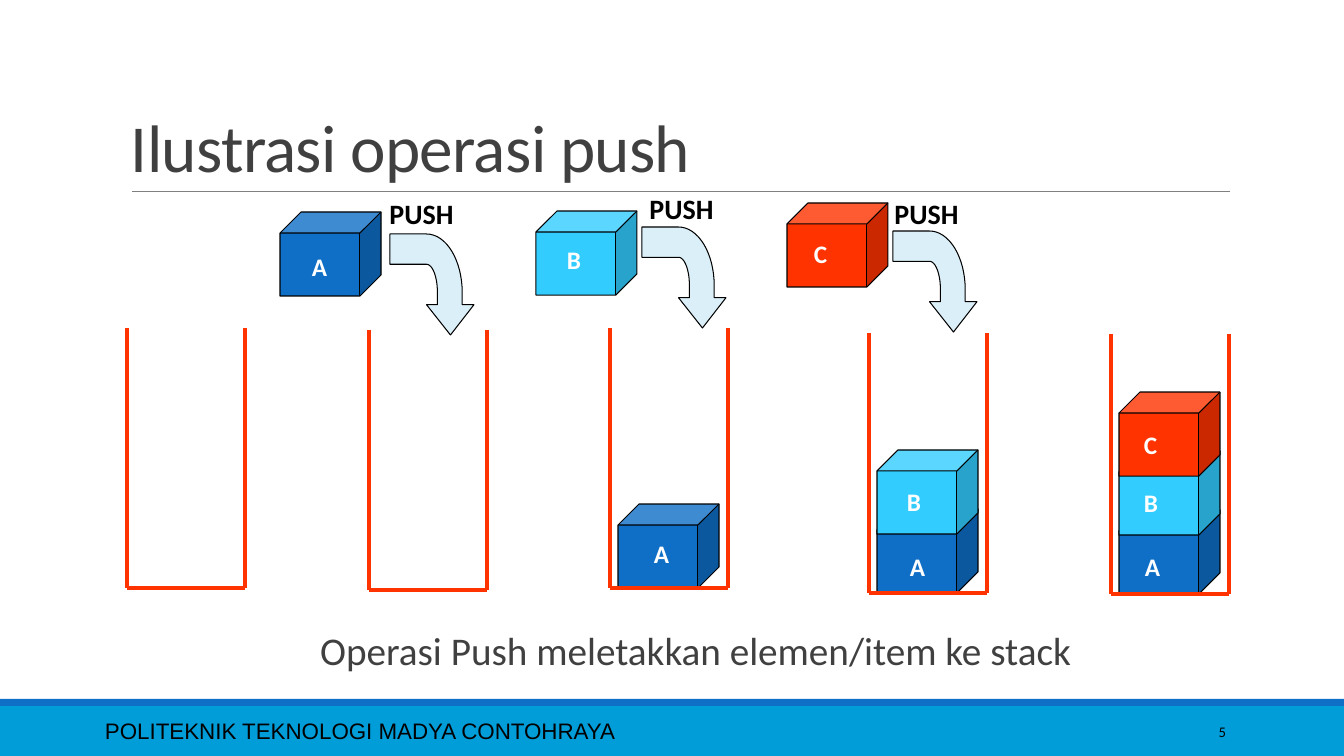
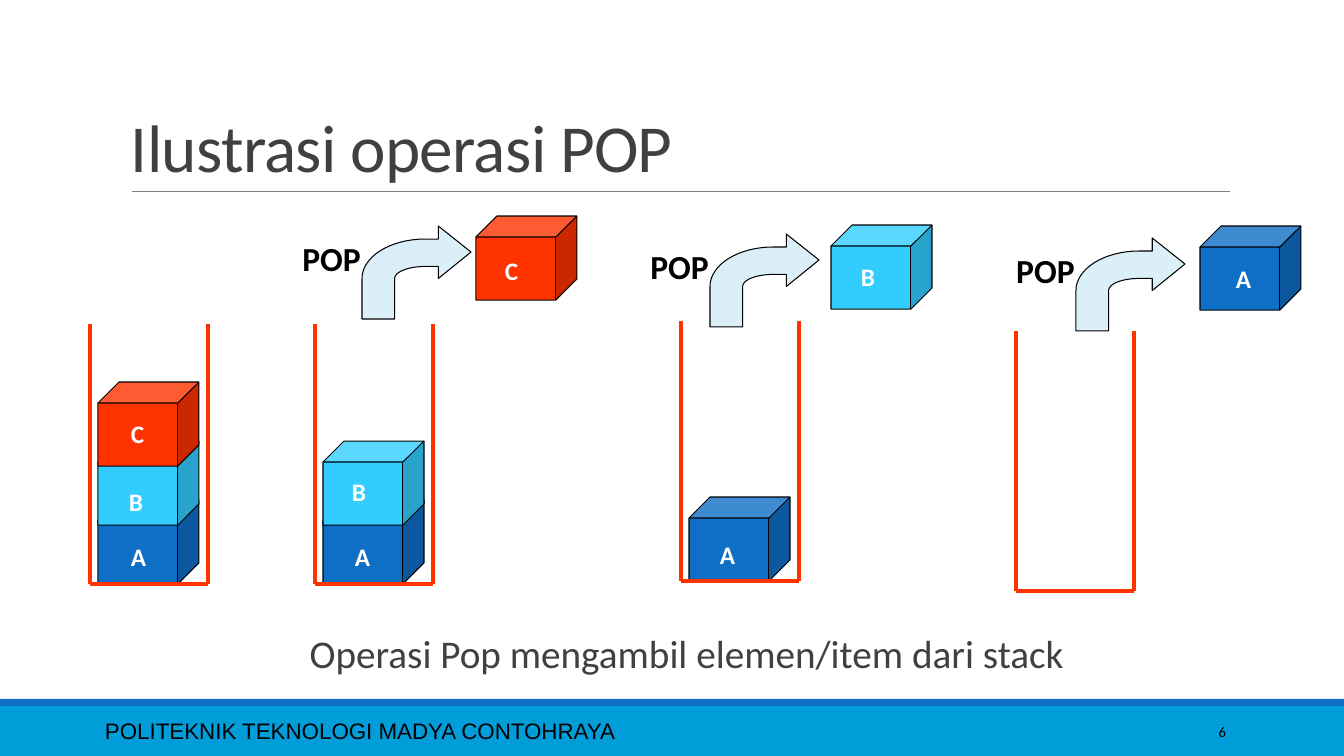
from itertools import pairwise
from math import cos, pi, sin

from lxml.etree import SubElement
from pptx import Presentation
from pptx.dml.color import RGBColor
from pptx.enum.shapes import MSO_CONNECTOR, MSO_SHAPE
from pptx.enum.text import MSO_ANCHOR, PP_ALIGN
from pptx.oxml.ns import qn
from pptx.util import Pt

EMU_PER_PX = 914400 / 100.8
BLACK, WHITE, GREY, DARK = "000000", "FFFFFF", "808080", "404040"
BLUE, BAND, RED, PALE = "0F6FC6", "009DD9", "FF3300", "DBEFF9"
ITEM_COLORS = {"A": BLUE, "B": "33CCFF", "C": RED}
CUBE_W, CUBE_H, STACK_STEP = 101, 84, 59
BIN_W, BIN_H, BIN_INSET = 118, 260, 8


def px(length):
    """Turn pixels into EMU."""
    return round(length * EMU_PER_PX)


def color(code):
    """Turn a hex string into a colour."""
    return RGBColor.from_string(code)


def bent_arrow_outline():
    """Return the outline of a right-turning arrow in a unit square."""
    def bend(rx, ry, angles):
        return [(0.58 - rx * cos(a), 0.565 - ry * sin(a)) for a in angles]

    rising = [pi / 2 * step / 16 for step in range(17)]
    return [(1, 0.28), (0.7, 0), (0.7, 0.14), *bend(0.58, 0.425, rising[::-1]),
            (0, 1), (0.3, 1), *bend(0.28, 0.13, rising),
            (0.7, 0.435), (0.7, 0.565)]


class Deck:
    """Hold the shared style and the slide being drawn."""

    def __init__(self):
        """Start an empty wide presentation."""
        self.prs = Presentation()
        self.prs.slide_width, self.prs.slide_height = px(1344), px(756)
        self.shapes = None

    def add_slide(self, title, caption, caption_box, number):
        """Add a slide with its title, caption and footer."""
        layout = self.prs.slide_layouts[6]
        self.shapes = self.prs.slides.add_slide(layout).shapes
        self.band(706, 50, BAND)
        self.band(699, 7, BLUE)
        self.line((132, 191), (1230, 191), GREY, 0.5)
        self.text("POLITEKNIK TEKNOLOGI MADYA CONTOHRAYA", (95, 711, 848, 40),
                  16, font="Arial", anchor=MSO_ANCHOR.MIDDLE)
        self.text(title, (121, 31, 1109, 160), 48, DARK,
                  anchor=MSO_ANCHOR.BOTTOM, leading=0.85, tracking=-50)
        self.text(caption, caption_box, 28, DARK, align=PP_ALIGN.CENTER,
                  leading=0.9, margins=(10, 0))
        self.text(number, (1092, 712, 144, 40), 10.5, align=PP_ALIGN.RIGHT,
                  anchor=MSO_ANCHOR.MIDDLE)

    def paint(self, shape, fill, outline=None):
        """Give a shape its fill and outline."""
        shape.shadow.inherit = False
        shape.fill.solid()
        shape.fill.fore_color.rgb = color(fill)
        if outline:
            shape.line.color.rgb = color(outline)
            shape.line.width = Pt(0.75)
        else:
            shape.line.fill.background()

    def band(self, top, height, fill):
        """Draw a footer band across the slide."""
        band = self.shapes.add_shape(MSO_SHAPE.RECTANGLE, 0, px(top),
                                     px(1344), px(height))
        self.paint(band, fill)

    def line(self, start, end, stroke, width):
        """Draw a straight line."""
        line = self.shapes.add_connector(MSO_CONNECTOR.STRAIGHT,
                                         *map(px, (*start, *end)))
        line.line.color.rgb = color(stroke)
        line.line.width = Pt(width)
        SubElement(line._element.spPr, qn("a:effectLst"))

    def text(self, words, box, size, ink=BLACK, font="Calibri", bold=False,
             align=PP_ALIGN.LEFT, anchor=MSO_ANCHOR.TOP, wrap=True,
             leading=None, tracking=None, margins=(10, 10)):
        """Write one line of text in a box."""
        frame = self.shapes.add_textbox(*map(px, box)).text_frame
        frame.word_wrap = wrap
        frame.vertical_anchor = anchor
        frame.margin_left, frame.margin_right = map(px, margins)
        paragraph = frame.paragraphs[0]
        paragraph.alignment = align
        paragraph.line_spacing = leading
        run = paragraph.add_run()
        run.text = words
        run.font.name, run.font.size, run.font.bold = font, Pt(size), bold
        run.font.color.rgb = color(ink)
        if tracking:
            run._r.get_or_add_rPr().set("spc", str(tracking))

    def cube(self, item, left, top):
        """Draw the cube of an item."""
        cube = self.shapes.add_shape(MSO_SHAPE.CUBE, px(left), px(top),
                                     px(CUBE_W), px(CUBE_H))
        self.paint(cube, ITEM_COLORS[item], BLACK)

    def letter(self, item, left, top):
        """Write the letter of an item."""
        self.text(item, (left, top, 35, 40), 18, WHITE, bold=True, wrap=False)

    def stack(self, left, bottom, letters):
        """Draw an open bin and the lettered items in it, lowest first."""
        for level, (item, _, _) in enumerate(letters):
            self.cube(item, left + BIN_INSET,
                      bottom - CUBE_H - level * STACK_STEP)
        right, top = left + BIN_W, bottom - BIN_H
        corners = [(left, top), (left, bottom), (right, bottom), (right, top)]
        for start, end in pairwise(corners):
            self.line(start, end, RED, 3)
        for letter in letters:
            self.letter(*letter)

    def arrow(self, left, top, width, height, downward):
        """Draw a bent arrow that ends rightward or downward."""
        outline = bent_arrow_outline()
        if downward:
            outline = [(1 - y, x) for x, y in outline]
        points = [(px(left + x * width), px(top + y * height))
                  for x, y in outline]
        builder = self.shapes.build_freeform(*points[0])
        builder.add_line_segments(points[1:], close=True)
        self.paint(builder.convert_to_shape(), PALE, BLACK)

    def move(self, word, word_at, size, arrow_box, item, cube_at, letter_at):
        """Draw an item on its way into or out of a stack."""
        self.cube(item, *cube_at)
        self.letter(item, *letter_at)
        self.arrow(*arrow_box, downward=word == "PUSH")
        self.text(word, (*word_at, 93, 48), size, bold=True,
                  align=PP_ALIGN.CENTER)


def main():
    """Build both slides and save them."""
    deck = Deck()

    deck.add_slide("Ilustrasi operasi push",
                   "Operasi Push meletakkan elemen/item ke stack",
                   (136, 627, 1109, 62), "5")
    for left, bottom, letters in [
        (127, 588, []),
        (369, 590, []),
        (610, 588, [("A", 644, 533)]),
        (869, 593, [("A", 900, 546), ("B", 897, 481)]),
        (1111, 594, [("A", 1135, 546), ("B", 1134, 482), ("C", 1134, 424)]),
    ]:
        deck.stack(left, bottom, letters)
    for item, cube_at, letter_at, arrow_at, word_at in [
        ("A", (280, 212), (302, 246), (390, 234), (375, 192)),
        ("B", (536, 211), (557, 239), (642, 227), (635, 187)),
        ("C", (787, 203), (804, 233), (893, 231), (880, 192)),
    ]:
        deck.move("PUSH", word_at, 20, (*arrow_at, 84, 101),
                  item, cube_at, letter_at)

    deck.add_slide("Ilustrasi operasi POP",
                   "Operasi Pop mengambil elemen/item dari stack",
                   (127, 630, 1109, 47), "6")
    for left, bottom, letters in [
        (90, 584, [("A", 121, 536), ("B", 119, 481), ("C", 121, 413)]),
        (315, 584, [("A", 345, 536), ("B", 342, 471)]),
        (681, 581, [("A", 710, 534)]),
        (1016, 591, []),
    ]:
        deck.stack(left, bottom, letters)
    for item, cube_at, letter_at, (left, top) in [
        ("C", (476, 216), (495, 250), (362, 226)),
        ("B", (831, 225), (851, 256), (710, 234)),
        ("A", (1200, 226), (1226, 258), (1076, 238)),
    ]:
        deck.move("POP", (left - 77, top + 7), 24, (left, top, 109, 93),
                  item, cube_at, letter_at)

    deck.prs.save("out.pptx")


if __name__ == "__main__":
    main()
